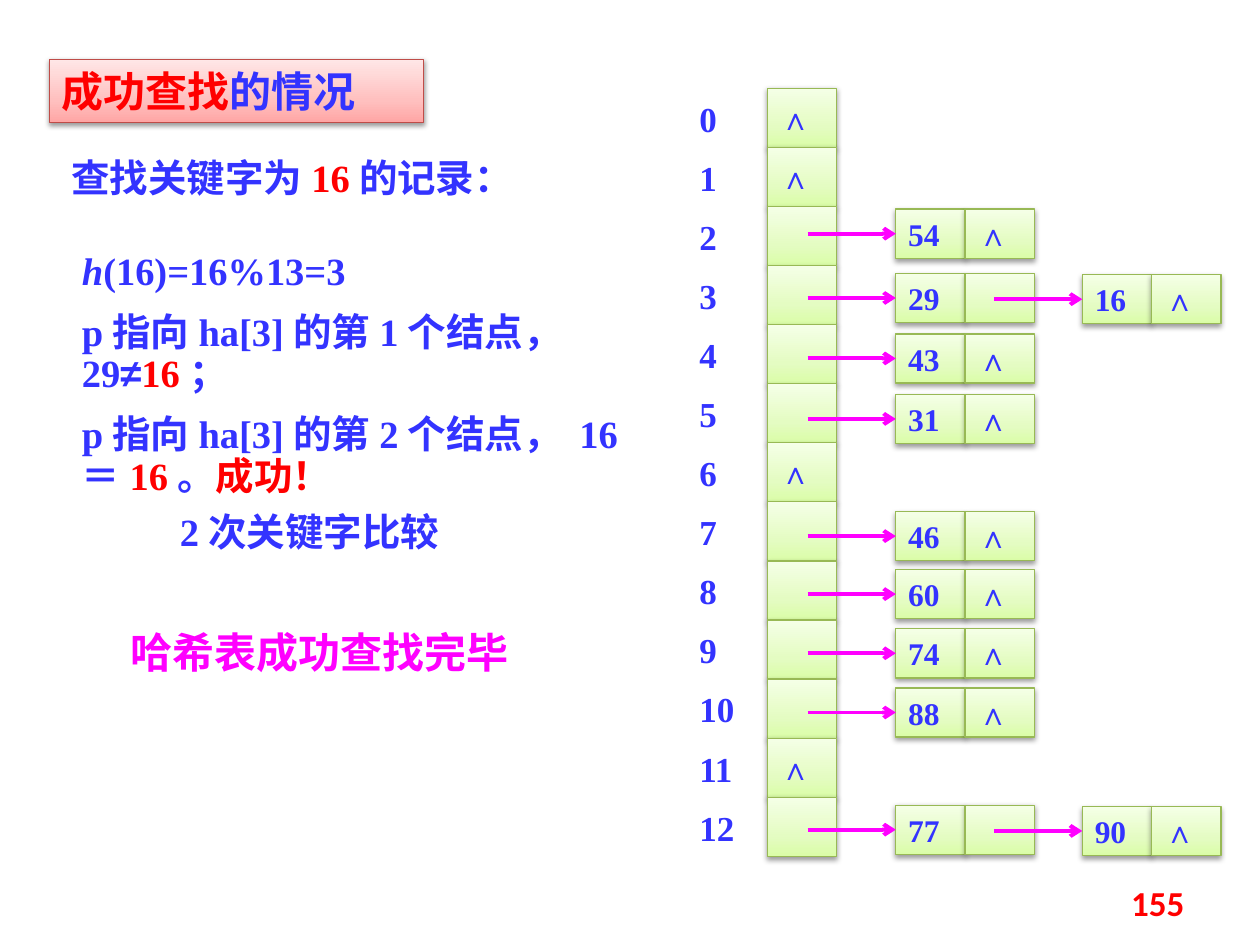
from lxml import etree
from pptx import Presentation
from pptx.dml.color import RGBColor
from pptx.enum.shapes import MSO_CONNECTOR as Connector, MSO_SHAPE as Shape
from pptx.enum.text import MSO_ANCHOR as Anchor, MSO_AUTO_SIZE as AutoSize, PP_ALIGN as Align
from pptx.oxml import parse_xml
from pptx.oxml.ns import nsdecls, qn
from pptx.util import Inches, Pt

THEME = {
    "blue": "3333FF", "red": "FF0000", "pink": "FF00FF",
    "green_fill": ["DAFDA7", "E4FCC2", "F5FFE7"], "green_line": "98B955",
    "red_fill": ["FFA6A5", "FFC0BF", "FFE7E7"], "red_line": "BF4C48",
    "serif": "Times New Roman", "sans": "Calibri", "symbol": "Arial", "cjk": "Noto Sans CJK SC",
    "title": 24, "body": 22, "label": 20, "cell": 18,
}
NULL = "∧"

# A run is (text, changes from the default format).
RED = {"color": "red"}
TITLE = [("成功查找", {"color": "red", "font": "cjk"}), ("的情况", {"font": "cjk"})]
STEPS = [
    [("h", {"italic": True}), ("(16)=16%13=3", {})],
    [("p指向ha[3]的第1个结点，29", {}), ("≠", {"font": "symbol"}), ("16", RED), ("；", {})],
    [("p指向ha[3]的第2个结点， 16＝", {}), ("16", RED), ("。", {}), ("成功！", RED)],
]
# Text boxes: place, size name, alignment, runs
NOTES = [
    ((0.47, 1.17, 4.06, 0.47), "body", Align.LEFT,
     [("查找关键字为", {}), ("16", RED), ("的记录：", {})]),
    ((1.33, 3.98, 2.81, 0.47), "body", Align.LEFT, [("2次关键字比较", {})]),
    ((0.94, 4.92, 3.67, 0.5), "title", Align.LEFT, [("哈希表成功查找完毕", {"color": "pink"})]),
    ((7.17, 6.95, 2.33, 0.4), "label", Align.RIGHT, [("155", {"color": "red", "font": "sans"})]),
]
BUCKETS = 13
# Bucket index: (top of its chain, keys in the chain)
CHAINS = {
    2: (1.66, [54]), 3: (2.17, [29, 16]), 4: (2.65, [43]), 5: (3.13, [31]),
    7: (4.06, [46]), 8: (4.52, [60]), 9: (4.99, [74]), 10: (5.46, [88]),
    12: (6.39, [77, 90]),
}
TABLE_LEFT, TABLE_TOP, ROW_STEP = 6.09, 0.7, 0.469
CELL_W, BUCKET_H, NODE_H = 0.55, 0.47, 0.39
CHAIN_LEFT, NODE_STEP, NODE_DROP, ARROW_LEN = 7.11, 1.48, 0.01, 0.7
LABEL_LEFT, LABEL_DROP = 5.55, 0.07


def rgb(name):
    return RGBColor.from_string(THEME[name])


def write(para, runs, size):
    for text, changes in runs:
        look = {"color": "blue", "font": "serif", "italic": False, **changes}
        span = para.add_run()
        span.text = text
        values = {"name": THEME[look["font"]], "size": Pt(THEME[size]),
                  "bold": True, "italic": look["italic"]}
        for key, value in values.items():
            setattr(span.font, key, value)
        span.font.color.rgb = rgb(look["color"])
        if any("\u3000" <= char for char in text):
            latin = span.font._element.find(qn("a:latin"))
            east = etree.Element(qn("a:ea"), typeface=THEME["cjk"])
            latin.addnext(east)


def set_frame(frame, anchor=Anchor.TOP, margin=None):
    values = {"word_wrap": True, "auto_size": AutoSize.NONE, "vertical_anchor": anchor}
    if margin is not None:
        for side in ("left", "top", "right", "bottom"):
            values["margin_" + side] = margin
    for key, value in values.items():
        setattr(frame, key, value)


def move(shape, place):
    for key, value in zip(("left", "top", "width", "height"), place):
        setattr(shape, key, Inches(value))


def decorate(shape, color):
    """Give the shape a three-stop upward gradient, a thin line and a soft shadow."""
    stops = "".join(
        f'<a:gs pos="{pos * 1000}"><a:srgbClr val="{value}"/></a:gs>'
        for pos, value in zip((0, 35, 100), THEME[color + "_fill"]))
    shape.line.color.rgb = rgb(color + "_line")
    shape.line.width = Pt(0.75)
    line = shape._element.spPr.find(qn("a:ln"))
    line.addprevious(parse_xml(
        f'<a:gradFill {nsdecls("a")} rotWithShape="1"><a:gsLst>{stops}</a:gsLst>'
        '<a:lin ang="16200000" scaled="0"/></a:gradFill>'))
    line.addnext(parse_xml(
        f'<a:effectLst {nsdecls("a")}><a:outerShdw blurRad="{Pt(3.1)}" dist="{Pt(1.6)}" '
        'dir="5400000" rotWithShape="0"><a:srgbClr val="000000"><a:alpha val="38000"/>'
        '</a:srgbClr></a:outerShdw></a:effectLst>'))


def add_cell(page, left, top, height, text):
    cell = page.shapes.add_shape(Shape.RECTANGLE, 0, 0, 0, 0)
    move(cell, (left, top, CELL_W, height))
    decorate(cell, "green")
    set_frame(cell.text_frame, Anchor.MIDDLE)
    if text:
        para = cell.text_frame.paragraphs[0]
        para.alignment = Align.LEFT
        write(para, [(text, {})], "cell")


def add_text(page, place, size, align, runs, margin=None):
    box = page.shapes.add_textbox(0, 0, 0, 0)
    move(box, place)
    set_frame(box.text_frame, margin=margin)
    para = box.text_frame.paragraphs[0]
    para.alignment = align
    write(para, runs, size)


def add_arrow(page, end, y):
    arrow = page.shapes.add_connector(
        Connector.STRAIGHT, Inches(end - ARROW_LEN), Inches(y), Inches(end), Inches(y))
    arrow.line.color.rgb = rgb("pink")
    arrow.line.width = Pt(2.25)
    etree.SubElement(arrow.line._get_or_add_ln(), qn("a:tailEnd"), type="arrow")
    etree.SubElement(arrow._element.spPr, qn("a:effectLst"))


def add_chain(page, top, keys):
    for i, key in enumerate(keys):
        left, y = CHAIN_LEFT + i * NODE_STEP, top + i * NODE_DROP
        add_cell(page, left, y, NODE_H, str(key))
        add_cell(page, left + CELL_W, y, NODE_H, NULL if i == len(keys) - 1 else "")
        add_arrow(page, left, y + NODE_H / 2)


def add_hash_table(page):
    for i in range(BUCKETS):
        top = TABLE_TOP + i * ROW_STEP
        add_cell(page, TABLE_LEFT, top, BUCKET_H, "" if i in CHAINS else NULL)
        add_text(page, (LABEL_LEFT, top + LABEL_DROP, 0.47, 0.34), "label",
                 Align.LEFT, [(str(i), {})], margin=0)
    for top, keys in CHAINS.values():
        add_chain(page, top, keys)


def fill_title(title):
    move(title, (0.39, 0.47, 2.97, 0.5))
    decorate(title, "red")
    set_frame(title.text_frame)
    para = title.text_frame.paragraphs[0]
    para.alignment = Align.LEFT
    write(para, TITLE, "title")


def fill_steps(body):
    move(body, (0.55, 1.95, 4.77, 1.99))
    set_frame(body.text_frame)
    for i, runs in enumerate(STEPS):
        para = body.text_frame.add_paragraph() if i else body.text_frame.paragraphs[0]
        props = para._p.get_or_add_pPr()
        props.set("marL", "0")
        props.set("indent", "0")
        etree.SubElement(props, qn("a:buNone"))
        para.line_spacing = 0.9
        para.space_before = Pt(11 if i else 0)
        write(para, runs, "body")


def main():
    deck = Presentation()
    deck.slide_width, deck.slide_height = Inches(10), Inches(7.5)
    page = deck.slides.add_slide(deck.slide_layouts[1])
    fill_title(page.shapes.title)
    fill_steps(page.placeholders[1])
    add_hash_table(page)
    for note in NOTES:
        add_text(page, *note)
    deck.save("out.pptx")


if __name__ == "__main__":
    main()
